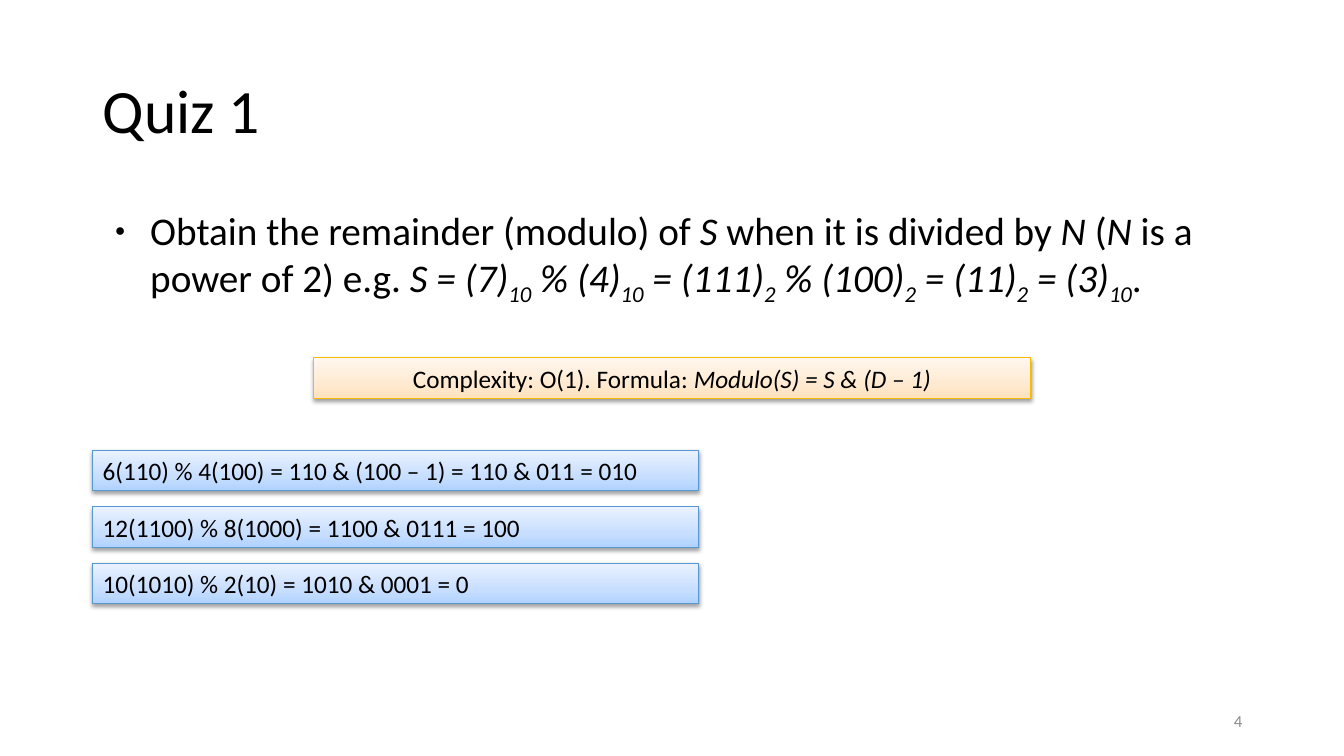
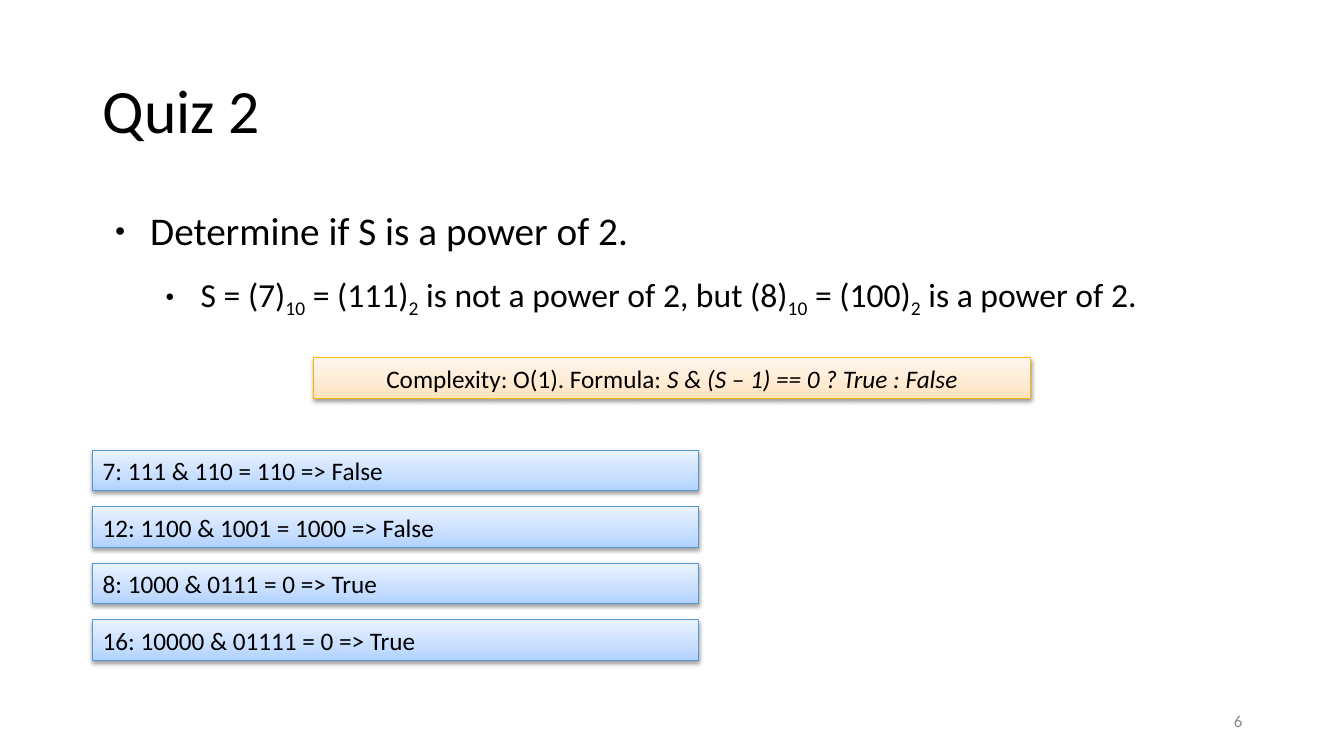
from lxml import etree
from pptx import Presentation
from pptx.dml.color import RGBColor
from pptx.enum.shapes import MSO_SHAPE
from pptx.enum.text import MSO_ANCHOR, MSO_AUTO_SIZE, PP_ALIGN
from pptx.oxml import parse_xml
from pptx.oxml.ns import nsdecls, qn
from pptx.util import Emu, Pt

# Shared look
PX = 9144  # EMU in one px, 100 px to the inch
FONT = "Calibri"
HEX = {"text": "000000", "page": "8B8B8B", "gold": "F9BC00", "blue": "5698D3"}
FADE = {
    "gold": ("FFE2BD", "FFEAD1", "FFF7EE"),
    "blue": ("B0D2FF", "C7DEFF", "EAF2FF"),
}
STOPS = (0, 35, 100)
LEFT, WIDE = 92, 1150
ROW_TOP, ROW_STEP = 447, 56

# Text marks: *italic*, _subscript_
QUIZZES = [
    {
        "title": "Quiz 1",
        "page": "4",
        "body": [
            "Obtain the remainder (modulo) of *S* when it is divided by *N* (*N* is a "
            "power of 2) e.g. *S = (7)_10_ % (4)_10_ = (111)_2_ % (100)_2_ = (11)_2_ "
            "= (3)_10_*.",
        ],
        "rule": "Complexity: O(1). Formula: *Modulo(S) = S & (D – 1)*",
        "rows": [
            "6(110) % 4(100) = 110 & (100 – 1) = 110 & 011 = 010",
            "12(1100) % 8(1000) = 1100 & 0111 = 100",
            "10(1010) % 2(10) = 1010 & 0001 = 0",
        ],
    },
    {
        "title": "Quiz 2",
        "page": "6",
        "body": [
            "Determine if S is a power of 2.",
            "S = (7)_10_ = (111)_2_ is not a power of 2, but (8)_10_ = (100)_2_ "
            "is a power of 2.",
        ],
        "rule": "Complexity: O(1). Formula: *S & (S – 1) == 0 ? True : False*",
        "rows": [
            "7: 111 & 110 = 110 => False",
            "12: 1100 & 1001 = 1000 => False",
            "8: 1000 & 0111 = 0 => True",
            "16: 10000 & 01111 = 0 => True",
        ],
    },
]


def px(n):
    return Emu(n * PX)


def place(shape, x, y, w, h):
    shape.left, shape.top, shape.width, shape.height = map(px, (x, y, w, h))


def write(para, text, size, color="text", align=PP_ALIGN.LEFT):
    """Fill a paragraph, turning the text marks into runs."""
    para.alignment = align
    para.font.name = FONT
    para.font.size = Pt(size)
    para.font.color.rgb = RGBColor.from_string(HEX[color])
    for i, part in enumerate(text.split("*")):
        for j, bit in enumerate(part.split("_")):
            if not bit:
                continue
            run = para.add_run()
            run.text = bit
            if i % 2:
                run.font.italic = True
            if j % 2:
                run._r.get_or_add_rPr().set("baseline", "-25000")


def bullet(para, indent):
    props = para._p.get_or_add_pPr()
    props.set("marL", str(px(indent)))
    props.set("indent", str(px(-35)))
    color = etree.SubElement(props, qn("a:buClr"))
    etree.SubElement(color, qn("a:srgbClr"), val=HEX["text"])
    etree.SubElement(props, qn("a:buSzPct"), val="45000")
    etree.SubElement(props, qn("a:buFont"), typeface="Arial")
    etree.SubElement(props, qn("a:buChar"), char="●")


def add_title(slide, text):
    title = slide.shapes.title
    place(title, LEFT, 40, WIDE, 145)
    title.text_frame.vertical_anchor = MSO_ANCHOR.MIDDLE
    para = title.text_frame.paragraphs[0]
    para.line_spacing = 0.9
    write(para, text, 44)


def add_body(slide, lines):
    body = slide.placeholders[1]
    place(body, LEFT, 200, WIDE, 476)
    frame = body.text_frame
    for level, line in enumerate(lines):
        para = frame.add_paragraph() if level else frame.paragraphs[0]
        para.level = level
        para.space_before = Pt(14.2 if level else 0)
        bullet(para, 47 + 50 * level)
        write(para, line, 28 - 4 * level)


def add_page(slide, text):
    box = slide.shapes.add_textbox(px(942), px(695), px(300), px(40))
    box.text_frame.word_wrap = True
    box.text_frame.vertical_anchor = MSO_ANCHOR.MIDDLE
    write(box.text_frame.paragraphs[0], text, 12, "page", PP_ALIGN.RIGHT)


def add_bar(slide, x, y, w, text, tone, align=PP_ALIGN.LEFT):
    """Add a text bar with a three-stop fade and a soft shadow."""
    bar = slide.shapes.add_shape(MSO_SHAPE.RECTANGLE, px(x), px(y), px(w), px(40))
    bar.line.color.rgb = RGBColor.from_string(HEX[tone])
    bar.line.width = Pt(0.75)
    stops = "".join(
        f'<a:gs pos="{pos * 1000}"><a:srgbClr val="{color}"/></a:gs>'
        for pos, color in zip(STOPS, FADE[tone])
    )
    props = bar._element.spPr
    props.insert(2, parse_xml(
        f'<a:gradFill {nsdecls("a")}><a:gsLst>{stops}</a:gsLst>'
        '<a:lin ang="16200000" scaled="0"/></a:gradFill>'
    ))
    props.append(parse_xml(
        f'<a:effectLst {nsdecls("a")}><a:outerShdw blurRad="40000" dist="20000" '
        'dir="5400000" rotWithShape="0"><a:srgbClr val="000000">'
        '<a:alpha val="38000"/></a:srgbClr></a:outerShdw></a:effectLst>'
    ))
    bar.text_frame.word_wrap = True
    bar.text_frame.auto_size = MSO_AUTO_SIZE.SHAPE_TO_FIT_TEXT
    write(bar.text_frame.paragraphs[0], text, 18, align=align)


def main():
    deck = Presentation()
    deck.slide_width, deck.slide_height = px(1333), px(750)
    for quiz in QUIZZES:
        slide = deck.slides.add_slide(deck.slide_layouts[1])
        add_title(slide, quiz["title"])
        add_body(slide, quiz["body"])
        add_page(slide, quiz["page"])
        add_bar(slide, 311, 355, 711, quiz["rule"], "gold", PP_ALIGN.CENTER)
        for i, row in enumerate(quiz["rows"]):
            add_bar(slide, LEFT, ROW_TOP + i * ROW_STEP, 601, row, "blue")
    deck.save("out.pptx")


if __name__ == "__main__":
    main()
